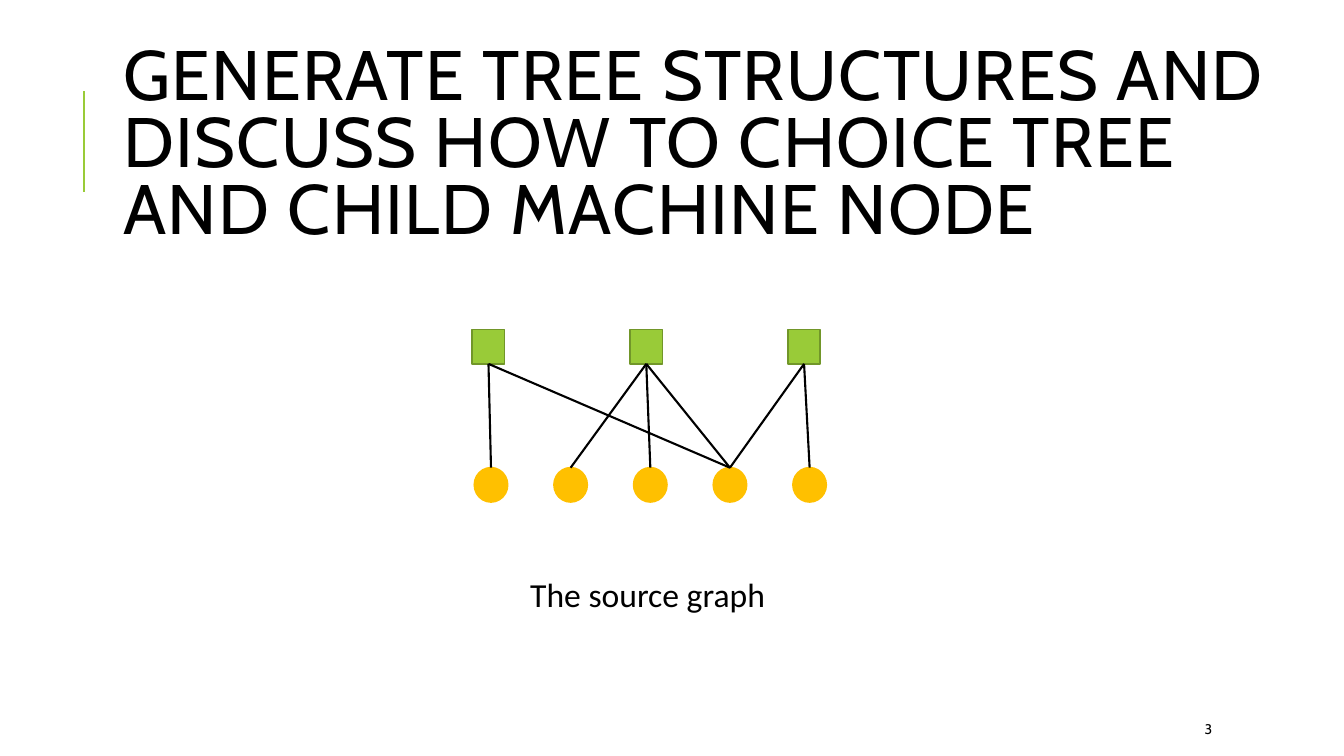
from dataclasses import dataclass

from lxml.etree import SubElement
from pptx import Presentation
from pptx.dml.color import RGBColor
from pptx.enum.shapes import MSO_CONNECTOR, MSO_SHAPE
from pptx.enum.text import MSO_ANCHOR, MSO_AUTO_SIZE, PP_ALIGN
from pptx.oxml.ns import qn
from pptx.slide import Slide
from pptx.text.text import TextFrame
from pptx.util import Inches, Pt

COLORS = {
    "text": "000000",
    "accent": "99CB38",
    "machine_line": "719629",
    "child": "FFC000",
}
MACHINE_TOP, MACHINE_HEIGHT = 3.27, 0.34
CHILD_TOP = 4.64
EDGES = [(0, 0), (0, 3), (1, 2), (1, 1), (1, 3), (2, 3), (2, 4)]


@dataclass(frozen=True)
class Node:
    """A graph node given by its centre column, top edge and look."""

    center: float
    top: float
    width: float
    height: float
    kind: MSO_SHAPE
    fill: str
    line: str


@dataclass(frozen=True)
class Line:
    """A straight line between two points."""

    x1: float
    y1: float
    x2: float
    y2: float
    color: str


@dataclass(frozen=True)
class Label:
    """A line of text in its own box."""

    text: str
    left: float
    top: float
    width: float
    height: float
    size: int
    font: str
    anchor: MSO_ANCHOR


MACHINES = [
    Node(4.845 + 1.565 * column, MACHINE_TOP, 0.32, MACHINE_HEIGHT,
         MSO_SHAPE.RECTANGLE, "accent", "machine_line")
    for column in range(3)
]
CHILDREN = [
    Node(4.87 + 0.79 * column, CHILD_TOP, 0.33, 0.34, MSO_SHAPE.OVAL, "child", "child")
    for column in range(5)
]
LABELS = [
    Label("3", 11.85, 7.08, 1.06, 0.3, 10, "Cabin", MSO_ANCHOR.MIDDLE),
    Label("The source graph", 5.16, 5.64, 2.55, 0.5, 24, "Calibri", MSO_ANCHOR.TOP),
]


def rgb(name: str) -> RGBColor:
    """Look up a named colour."""
    return RGBColor.from_string(COLORS[name])


def format_text(frame: TextFrame, size: int, font: str, anchor: MSO_ANCHOR) -> None:
    """Format the only paragraph of a text frame."""
    frame.word_wrap = True
    frame.auto_size = MSO_AUTO_SIZE.NONE
    frame.vertical_anchor = anchor
    para = frame.paragraphs[0]
    para.alignment = PP_ALIGN.LEFT
    for span in para.runs:
        span.font.size = Pt(size)
        span.font.name = font
        span.font.color.rgb = rgb("text")


def add_title(page: Slide, text: str) -> None:
    """Place and format the slide title."""
    title = page.shapes.title
    title.left, title.top = Inches(1.12), Inches(0.64)
    title.width, title.height = Inches(11.8), Inches(1.64)
    title.text_frame.text = text
    format_text(title.text_frame, 50, "Cabin", MSO_ANCHOR.MIDDLE)
    para = title.text_frame.paragraphs[0]
    para.line_spacing = 0.8
    para.runs[0]._r.get_or_add_rPr().set("spc", "100")


def add_label(page: Slide, label: Label) -> None:
    """Draw a text label."""
    box = page.shapes.add_textbox(
        Inches(label.left), Inches(label.top), Inches(label.width), Inches(label.height)
    )
    box.text_frame.text = label.text
    format_text(box.text_frame, label.size, label.font, label.anchor)


def add_node(page: Slide, node: Node) -> None:
    """Draw a graph node."""
    shape = page.shapes.add_shape(
        node.kind, Inches(node.center - node.width / 2), Inches(node.top),
        Inches(node.width), Inches(node.height),
    )
    shape.shadow.inherit = False
    shape.fill.solid()
    shape.fill.fore_color.rgb = rgb(node.fill)
    shape.line.color.rgb = rgb(node.line)
    shape.line.width = Pt(1.25)


def add_line(page: Slide, line: Line) -> None:
    """Draw a straight line without a shadow."""
    connector = page.shapes.add_connector(
        MSO_CONNECTOR.STRAIGHT,
        Inches(line.x1), Inches(line.y1), Inches(line.x2), Inches(line.y2),
    )
    connector.line.color.rgb = rgb(line.color)
    connector.line.width = Pt(1.5)
    SubElement(connector._element.spPr, qn("a:effectLst"))


def main() -> None:
    """Build the slide and save the deck."""
    deck = Presentation()
    deck.slide_width, deck.slide_height = Inches(13.33), Inches(7.5)
    page = deck.slides.add_slide(deck.slide_layouts[5])
    add_title(
        page,
        "GENERATE TREE STRUCTURES AND DISCUSS HOW TO CHOICE TREE AND CHILD MACHINE NODE",
    )
    add_line(page, Line(0.83, 1.9, 0.83, 0.9, "accent"))
    for node in MACHINES + CHILDREN:
        add_node(page, node)
    for machine, child in EDGES:
        add_line(page, Line(MACHINES[machine].center, MACHINE_TOP + MACHINE_HEIGHT,
                            CHILDREN[child].center, CHILD_TOP, "text"))
    for label in LABELS:
        add_label(page, label)
    deck.save("out.pptx")


if __name__ == "__main__":
    main()
